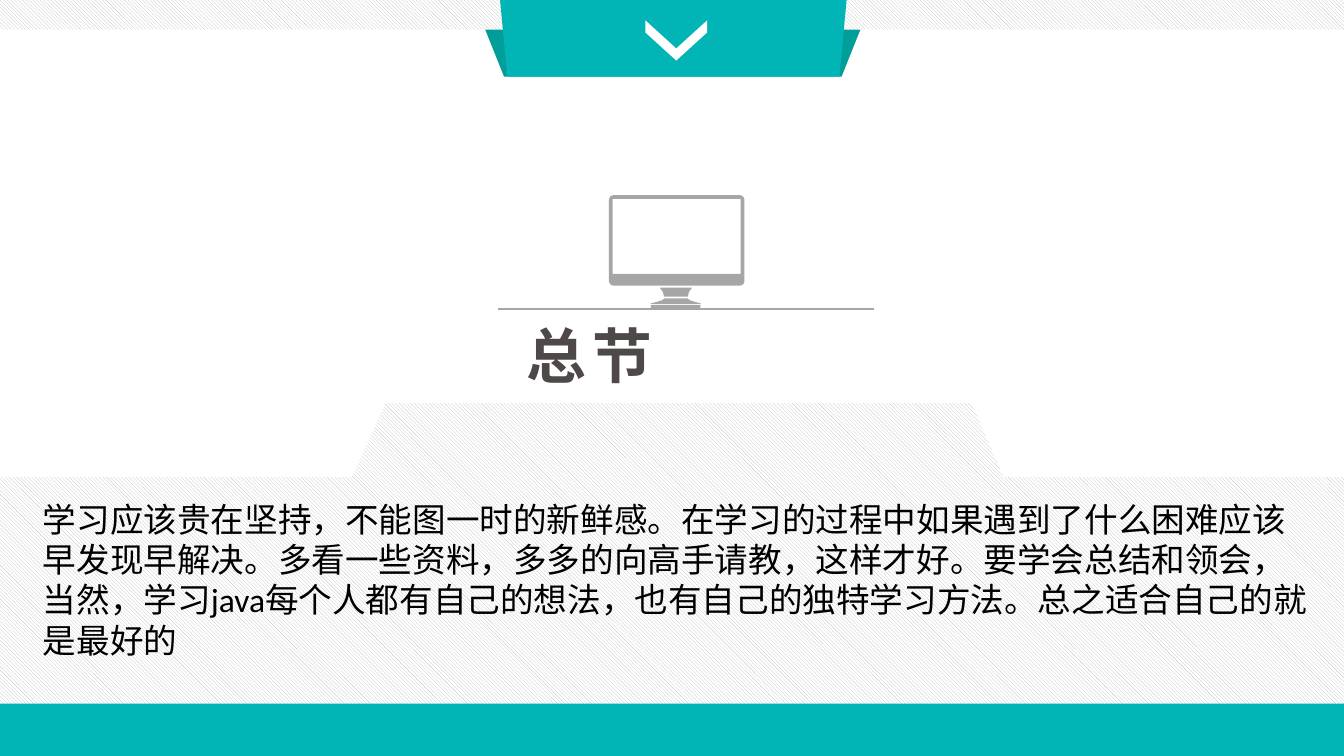
from dataclasses import dataclass
from math import cos, radians, sin

from lxml.etree import SubElement
from pptx import Presentation
from pptx.dml.color import RGBColor
from pptx.enum.dml import MSO_PATTERN
from pptx.enum.shapes import MSO_CONNECTOR, MSO_SHAPE
from pptx.enum.text import MSO_ANCHOR, MSO_AUTO_SIZE, PP_ALIGN
from pptx.oxml.ns import qn
from pptx.util import Cm, Pt


@dataclass(frozen=True)
class Theme:
    teal: RGBColor = RGBColor(0x01, 0xB5, 0xB6)
    dark_teal: RGBColor = RGBColor(0x01, 0x9D, 0x99)
    grey: RGBColor = RGBColor(0xA6, 0xA6, 0xA6)
    hatch: RGBColor = RGBColor(0xBF, 0xBF, 0xBF)
    white: RGBColor = RGBColor(0xFF, 0xFF, 0xFF)
    heading: RGBColor = RGBColor(0x4E, 0x48, 0x48)
    black: RGBColor = RGBColor(0, 0, 0)
    heading_size: Pt = Pt(32)
    body_size: Pt = Pt(18)
    latin_font: str = "Calibri"
    chinese_font: str = "Noto Sans CJK SC"


THEME = Theme()
WIDTH, HEIGHT = 25.4, 14.29
SUMMARY = (
    "学习应该贵在坚持，不能图一时的新鲜感。在学习的过程中如果遇到了什么困难应该早发现早解决。"
    "多看一些资料，多多的向高手请教，这样才好。要学会总结和领会，"
    "当然，学习java每个人都有自己的想法，也有自己的独特学习方法。总之适合自己的就是最好的"
)


def paint(shape, color):
    """Fill without outline or shadow; no color means the diagonal hatch."""
    shape.shadow.inherit = False
    shape.line.fill.background()
    if color is None:
        shape.fill.patterned()
        shape.fill.pattern = MSO_PATTERN.LIGHT_DOWNWARD_DIAGONAL
        shape.fill.fore_color.rgb = THEME.hatch
        shape.fill.back_color.rgb = THEME.white
    else:
        shape.fill.solid()
        shape.fill.fore_color.rgb = color


def add_preset(shapes, kind, place, color, rotation=0, adjustment=None):
    shape = shapes.add_shape(kind, *map(Cm, place))
    shape.rotation = rotation
    if adjustment is not None:
        shape.adjustments[0] = adjustment
    paint(shape, color)


def add_outline(shapes, color, *contours):
    """Closed outline; a second contour cuts a hole."""
    contours = [[(Cm(x), Cm(y)) for x, y in contour] for contour in contours]
    builder = shapes.build_freeform(*contours[0][0])
    builder.add_line_segments(contours[0][1:])
    for contour in contours[1:]:
        builder.move_to(*contour[0])
        builder.add_line_segments(contour[1:])
    paint(builder.convert_to_shape(), color)


def rounded_corners(left, top, right, bottom, radius):
    corners = [(right, bottom, -1, -1), (left, bottom, 1, -1),
               (left, top, 1, 1), (right, top, -1, 1)]
    return [
        (x + dx * radius + radius * cos(radians(angle)),
         y + dy * radius + radius * sin(radians(angle)))
        for quarter, (x, y, dx, dy) in enumerate(corners)
        for angle in range(90 * quarter, 90 * quarter + 91, 15)
    ]


def add_span(para, text, size, color, font):
    span = para.add_run()
    span.text = text
    span.font.size = size
    span.font.color.rgb = color
    span.font.name = font
    SubElement(span.font._element, qn("a:ea"), typeface=THEME.chinese_font)
    return span


def add_monitor(page):
    shapes = page.shapes.add_group_shape().shapes
    add_outline(shapes, THEME.grey, [
        (13, 5.64), (12.55, 5.64), (12.53, 5.67), (12.47, 5.69), (12.29, 5.74),
        (12.29, 5.75), (13.25, 5.75), (13.25, 5.74), (13.08, 5.69), (13.03, 5.67)])
    add_preset(shapes, MSO_SHAPE.RECTANGLE, (12.3, 5.77, 0.94, 0.07), THEME.grey)
    add_outline(shapes, THEME.grey, [
        (13, 5.61), (13.02, 5.52), (13.08, 5.44),
        (12.47, 5.44), (12.53, 5.52), (12.55, 5.61)])
    add_outline(shapes, THEME.grey,
                rounded_corners(11.51, 3.69, 14.07, 5.4, 0.09),
                [(11.58, 3.76), (11.58, 5.18), (14, 5.18), (14, 3.76)])


def add_desk_line(page):
    line = page.shapes.add_connector(
        MSO_CONNECTOR.STRAIGHT, Cm(9.42), Cm(5.84), Cm(16.51), Cm(5.84))
    line.line.color.rgb = THEME.grey
    line.line.width = Pt(0.75)
    SubElement(line.element.spPr, qn("a:effectLst"))


def add_background(page):
    shapes = page.shapes
    add_preset(shapes, MSO_SHAPE.RECTANGLE, (8.05, 5.87, 9.04, 2.31), THEME.white)
    add_outline(shapes, None, [
        (7.29, 7.62), (18.36, 7.62), (18.97, 9.02), (WIDTH, 9.02),
        (WIDTH, HEIGHT), (0, HEIGHT), (0, 9.02), (6.65, 9.02)])
    add_preset(shapes, MSO_SHAPE.RECTANGLE, (0, 13.3, WIDTH, 0.99), THEME.teal)
    add_preset(shapes, MSO_SHAPE.RECTANGLE, (0, 0, WIDTH, 0.56), None)


def add_heading(page):
    box = page.shapes.title
    box.left, box.top, box.width, box.height = map(Cm, (9.7, 5.89, 6.17, 1.63))
    box.element.getparent().append(box.element)  # bring to front
    frame = box.text_frame
    frame.vertical_anchor = MSO_ANCHOR.TOP
    frame.auto_size = MSO_AUTO_SIZE.SHAPE_TO_FIT_TEXT
    para = frame.paragraphs[0]
    para.alignment = PP_ALIGN.JUSTIFY
    span = add_span(para, "总节", THEME.heading_size, THEME.heading, THEME.chinese_font)
    span.font.bold = True
    span.font._element.set("spc", "300")


def add_ribbon(page):
    shapes = page.shapes
    add_preset(shapes, MSO_SHAPE.TRAPEZOID, (9.17, 0.56, 7.09, 0.89),
               THEME.dark_teal, 180, 0.4)
    add_preset(shapes, MSO_SHAPE.TRAPEZOID, (9.45, 0, 6.55, 1.45),
               THEME.teal, 180, 0.095)
    add_preset(shapes, MSO_SHAPE.CHEVRON, (12.4, 0.18, 0.76, 1.17),
               THEME.white, 90, 0.7)


def add_summary(page):
    box = page.shapes.add_textbox(*map(Cm, (0.56, 9.3, 24.54, 4.11)))
    box.text_frame.word_wrap = True
    add_span(box.text_frame.paragraphs[0], SUMMARY,
             THEME.body_size, THEME.black, THEME.latin_font)


def main():
    deck = Presentation()
    deck.slide_width, deck.slide_height = Cm(WIDTH), Cm(HEIGHT)
    page = deck.slides.add_slide(deck.slide_layouts[5])
    add_monitor(page)
    add_desk_line(page)
    add_background(page)
    add_heading(page)
    add_ribbon(page)
    add_summary(page)
    deck.save("out.pptx")


if __name__ == "__main__":
    main()
